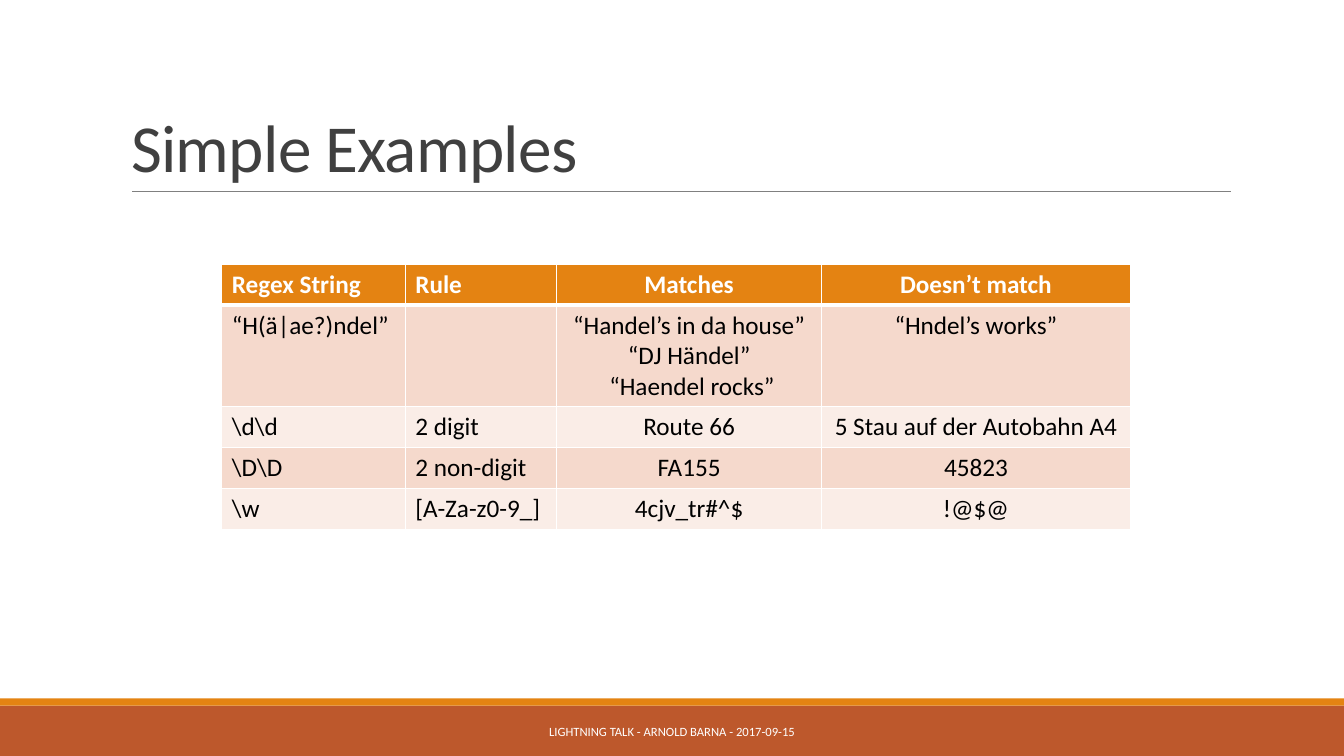
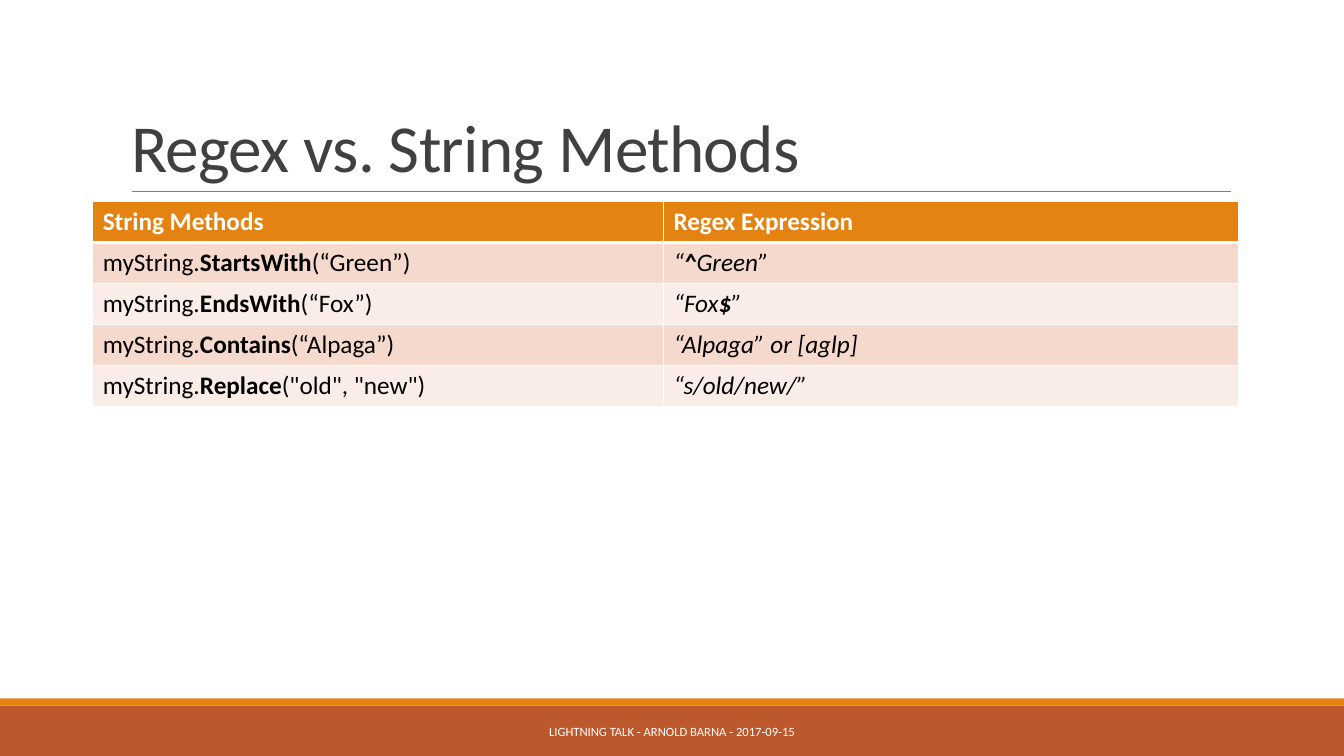
from lxml import etree
from pptx import Presentation
from pptx.dml.color import RGBColor
from pptx.enum.shapes import MSO_CONNECTOR, MSO_SHAPE
from pptx.enum.text import MSO_ANCHOR, MSO_AUTO_SIZE, PP_ALIGN
from pptx.oxml.ns import qn
from pptx.util import Inches, Pt

RECTANGLE, STRAIGHT = MSO_SHAPE.RECTANGLE, MSO_CONNECTOR.STRAIGHT
LEFT, CENTER = PP_ALIGN.LEFT, PP_ALIGN.CENTER
MIDDLE, BOTTOM = MSO_ANCHOR.MIDDLE, MSO_ANCHOR.BOTTOM
NO_AUTOFIT = MSO_AUTO_SIZE.NONE
TITLE_ONLY = 5

FONT = "Calibri"
COLORS = {
    "orange": "E48312",
    "rust": "BD582C",
    "rule": "808080",
    "title": "404040",
    "white": "FFFFFF",
    "black": "000000",
    "dark_row": "F5D9CC",
    "light_row": "FAEDE7",
}
SLIDE_WIDTH, SLIDE_HEIGHT = 13.33, 7.5
ROW_HEIGHT = 0.406
FOOTER = "LIGHTNING TALK - ARNOLD BARNA - 2017-09-15"

# Table contents: ** switches bold on and off, a line break starts a paragraph
EXAMPLES = [
    ["Regex String", "Rule", "Matches", "Doesn’t match"],
    ["“H(ä|ae?)ndel”", "", "“Handel’s in da house”\n“DJ Händel”\n “Haendel rocks”",
     "“Hndel’s works”"],
    [r"\d\d", "2 digit", "Route 66", "5 Stau auf der Autobahn A4"],
    [r"\D\D", "2 non-digit", "FA155", "45823"],
    [r"\w", "[A-Za-z0-9_]", "4cjv_tr#^$", "!@$@"],
]
METHODS = [
    ["String Methods", "Regex Expression"],
    ["myString.**StartsWith**(“Green”)", "“**^**Green”"],
    ["myString.**EndsWith**(“Fox”)", "“Fox**$**”"],
    ["myString.**Contains**(“Alpaga”)", "“Alpaga” or [aglp]"],
    ['myString.**Replace**("old", "new")', "“s/old/new/”"],
]


def rgb(name):
    return RGBColor.from_string(COLORS[name])


def style(font, size, color):
    font.name = FONT
    font.size = Pt(size)
    font.color.rgb = rgb(color)


def add_band(slide, top, height, color):
    band = slide.shapes.add_shape(
        RECTANGLE, 0, Inches(top), Inches(SLIDE_WIDTH), Inches(height))
    band.shadow.inherit = False
    band.fill.solid()
    band.fill.fore_color.rgb = rgb(color)
    band.line.fill.background()


def add_title_rule(slide):
    rule = slide.shapes.add_connector(
        STRAIGHT, Inches(1.31), Inches(1.9), Inches(12.21), Inches(1.9))
    rule.line.color.rgb = rgb("rule")
    rule.line.width = Pt(0.5)
    etree.SubElement(rule._element.spPr, qn("a:effectLst"))


def set_title(slide, text):
    title = slide.shapes.title
    title.left, title.top = Inches(1.2), Inches(0.31)
    title.width, title.height = Inches(11), Inches(1.59)
    frame = title.text_frame
    frame.text = text
    frame.auto_size = NO_AUTOFIT
    frame.vertical_anchor = BOTTOM
    paragraph = frame.paragraphs[0]
    paragraph.alignment = LEFT
    paragraph.line_spacing = 0.85
    style(paragraph.font, 48, "title")
    paragraph.runs[0]._r.get_or_add_rPr().set("spc", "-50")


def add_footer(slide):
    footer = slide.shapes.add_textbox(
        Inches(4.03), Inches(7.06), Inches(5.27), Inches(0.4))
    frame = footer.text_frame
    frame.word_wrap = True
    frame.vertical_anchor = MIDDLE
    frame.text = FOOTER
    frame.paragraphs[0].alignment = CENTER
    style(frame.paragraphs[0].font, 9, "white")


def add_talk_slide(prs, title):
    slide = prs.slides.add_slide(prs.slide_layouts[TITLE_ONLY])
    add_band(slide, 7, 0.5, "rust")
    add_band(slide, 6.93, 0.07, "orange")
    add_title_rule(slide)
    set_title(slide, title)
    add_footer(slide)
    return slide


def set_borders(cell, widths):
    """Put white borders, widths in points, ahead of the cell's fill."""
    properties = cell._tc.get_or_add_tcPr()
    for index, (side, width) in enumerate(widths.items()):
        border = etree.Element(qn(f"a:ln{side}"), w=str(Pt(width)))
        fill = etree.SubElement(border, qn("a:solidFill"))
        etree.SubElement(fill, qn("a:srgbClr"), val=COLORS["white"])
        properties.insert(index, border)


def fill_cell(cell, text, header, alignment, italic):
    for index, line in enumerate(text.split("\n")):
        frame = cell.text_frame
        paragraph = frame.add_paragraph() if index else frame.paragraphs[0]
        paragraph.alignment = alignment
        style(paragraph.font, 18, "white" if header else "black")
        paragraph.font.bold = header
        paragraph.font.italic = italic
        for part, words in enumerate(line.split("**")):
            if words:
                run = paragraph.add_run()
                run.text = words
                if part % 2:
                    run.font.bold = True


def add_striped_table(slide, left, top, widths, rows, centered=(), italic=()):
    """centered and italic list column numbers; headers stay upright."""
    table = slide.shapes.add_table(
        len(rows), len(widths), Inches(left), Inches(top),
        Inches(sum(widths)), Inches(ROW_HEIGHT * len(rows))).table
    for column, width in zip(table.columns, widths):
        column.width = Inches(width)
    for r, row in enumerate(rows):
        header = r == 0
        color = "orange" if header else "dark_row" if r % 2 else "light_row"
        borders = {"L": 1, "R": 1, "T": 3 if r == 1 else 1, "B": 3 if header else 1}
        for c, text in enumerate(row):
            cell = table.cell(r, c)
            cell.fill.solid()
            cell.fill.fore_color.rgb = rgb(color)
            set_borders(cell, borders)
            fill_cell(cell, text, header, CENTER if c in centered else LEFT,
                      c in italic and not header)
    return table


def main():
    prs = Presentation()
    prs.slide_width, prs.slide_height = Inches(SLIDE_WIDTH), Inches(SLIDE_HEIGHT)

    # Patterns with matching and non-matching strings
    examples = add_talk_slide(prs, "Simple Examples")
    patterns = add_striped_table(examples, 2.2, 2.62, [1.82, 1.5, 2.63, 3.06],
                                 EXAMPLES, centered=(2, 3))
    patterns.rows[1].height = Inches(1.01)

    # String methods beside their regex counterparts
    comparison = add_talk_slide(prs, "Regex vs. String Methods")
    add_striped_table(comparison, 0.92, 2, [5.66, 5.7], METHODS, italic=(1,))

    prs.save("out.pptx")


if __name__ == "__main__":
    main()
